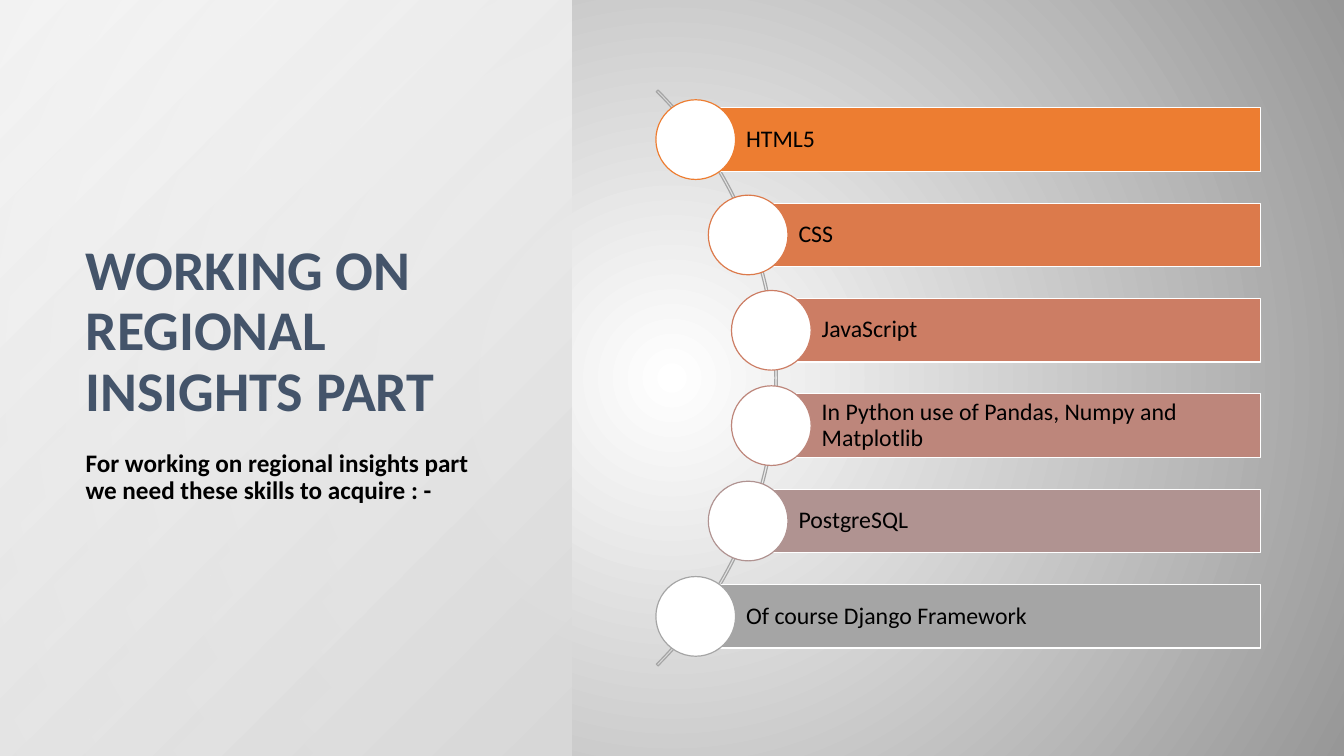
from lxml import etree
from pptx import Presentation
from pptx.dml.color import RGBColor
from pptx.enum import shapes, text
from pptx.oxml import ns
from pptx.util import Inches, Pt

TITLE = "WORKING ON REGIONAL INSIGHTS PART"
INTRO = "For working on regional insights part we need these skills to acquire : -"
SKILLS = [
    ("HTML5", RGBColor(0xED, 0x7D, 0x31)),
    ("CSS", RGBColor(0xDC, 0x7A, 0x4B)),
    ("JavaScript", RGBColor(0xCC, 0x7D, 0x64)),
    ("In Python use of Pandas, Numpy and Matplotlib", RGBColor(0xBD, 0x86, 0x7B)),
    ("PostgreSQL", RGBColor(0xB0, 0x93, 0x91)),
    ("Of course Django Framework", RGBColor(0xA5, 0xA5, 0xA5)),
]
DOT_CENTRES = [6.9, 7.42, 7.65]
BACKDROP_STOPS = [(0, "FFFFFF", 100), (100, "979797", 100)]
PANEL_STOPS = [(0, "D9D9D9", 100), (100, "FFFFFF", 89)]

WHITE = RGBColor(0xFF, 0xFF, 0xFF)
BLACK = RGBColor(0, 0, 0)
SLATE = RGBColor(0x44, 0x54, 0x6A)
GREY = RGBColor(0xA5, 0xA5, 0xA5)

MIDDLE = 3.75
FIRST_CENTRE, LAST_CENTRE = 1.385, 6.115
BAR_RIGHT, BAR_HEIGHT = 12.5, 0.63
DOT_SIZE, ARC_SIZE = 0.79, 8.08
LINE_WIDTH = Pt(0.85)


def paint_radial(fill, owner, stops, focus):
    fill.gradient()
    gradient = next(owner.iter(ns.qn("a:gradFill")))
    for child in list(gradient):
        gradient.remove(child)
    stop_list = etree.SubElement(gradient, ns.qn("a:gsLst"))
    for position, colour, opacity in stops:
        stop = etree.SubElement(stop_list, ns.qn("a:gs"), pos=str(position * 1000))
        shade = etree.SubElement(stop, ns.qn("a:srgbClr"), val=colour)
        if opacity < 100:
            etree.SubElement(shade, ns.qn("a:alpha"), val=str(opacity * 1000))
    radial = etree.SubElement(gradient, ns.qn("a:path"), path="circle")
    sides = {side: str(share * 1000) for side, share in zip("ltrb", focus)}
    etree.SubElement(radial, ns.qn("a:fillToRect"), **sides)


def add_figure(page, kind, left, top, width, height, fill=None, line=None):
    figure = page.shapes.add_shape(
        kind, Inches(left), Inches(top), Inches(width), Inches(height))
    figure.shadow.inherit = False
    if fill is None:
        figure.fill.background()
    else:
        figure.fill.solid()
        figure.fill.fore_color.rgb = fill
    if line is None:
        figure.line.fill.background()
    else:
        figure.line.color.rgb = line
        figure.line.width = LINE_WIDTH
    return figure


def write(box, words, size, colour, anchor, bold=False):
    frame = box.text_frame
    frame.word_wrap = True
    frame.vertical_anchor = anchor
    para = frame.paragraphs[0]
    para.text = words
    para.alignment = text.PP_ALIGN.LEFT
    para.line_spacing = 0.9
    para.font.name = "Calibri"
    para.font.size = Pt(size)
    para.font.bold = bold
    para.font.color.rgb = colour


def add_heading(page, top, height, *style):
    box = page.shapes.add_textbox(
        Inches(0.75), Inches(top), Inches(4.25), Inches(height))
    write(box, *style, bold=True)


def add_skill(page, words, colour, centre_x, centre_y):
    bar = add_figure(
        page, shapes.MSO_SHAPE.RECTANGLE, centre_x, centre_y - BAR_HEIGHT / 2,
        BAR_RIGHT - centre_x, BAR_HEIGHT, colour, WHITE)
    frame = bar.text_frame
    frame.margin_left = Inches(0.5)
    frame.margin_top = frame.margin_right = frame.margin_bottom = Inches(0.05)
    write(bar, words, 17, BLACK, text.MSO_ANCHOR.MIDDLE)
    add_figure(
        page, shapes.MSO_SHAPE.OVAL, centre_x - DOT_SIZE / 2,
        centre_y - DOT_SIZE / 2, DOT_SIZE, DOT_SIZE, WHITE, colour)


def main():
    deck = Presentation()
    deck.slide_width, deck.slide_height = Inches(13.33), Inches(7.5)
    page = deck.slides.add_slide(deck.slide_layouts[6])
    paint_radial(page.background.fill, page.element, BACKDROP_STOPS, (50, 50, 50, 50))

    panel = add_figure(page, shapes.MSO_SHAPE.RECTANGLE, 0, 0, 5.67, 7.5)
    paint_radial(panel.fill, panel.element, PANEL_STOPS, (100, 100, 0, 0))
    add_heading(page, 0.75, 3.5, TITLE, 40, SLATE, text.MSO_ANCHOR.BOTTOM)
    add_heading(page, 4.42, 2.33, INTRO, 18, BLACK, text.MSO_ANCHOR.TOP)

    arc = add_figure(
        page, shapes.MSO_SHAPE.BLOCK_ARC, -0.37, MIDDLE - ARC_SIZE / 2,
        ARC_SIZE, ARC_SIZE, line=GREY)
    for index, value in enumerate((189, 27, 0.003)):
        arc.adjustments[index] = value

    pitch = (LAST_CENTRE - FIRST_CENTRE) / (len(SKILLS) - 1)
    centres = DOT_CENTRES + DOT_CENTRES[::-1]
    for index, ((words, colour), centre_x) in enumerate(zip(SKILLS, centres)):
        add_skill(page, words, colour, centre_x, FIRST_CENTRE + index * pitch)

    deck.save("out.pptx")


if __name__ == "__main__":
    main()
